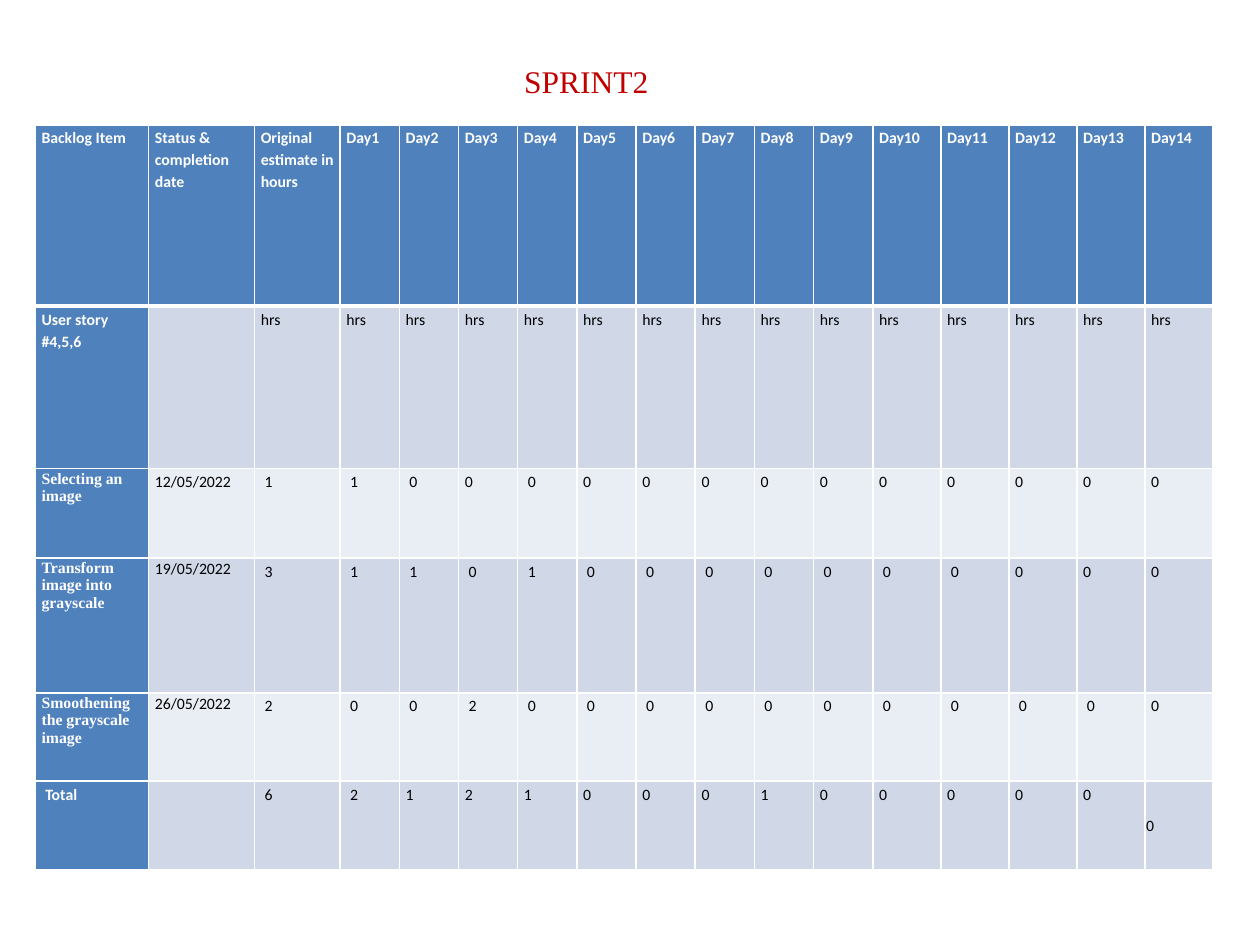
from dataclasses import dataclass

from lxml import etree
from pptx import Presentation
from pptx.dml.color import RGBColor
from pptx.enum import text
from pptx.oxml import ns
from pptx.util import Inches, Pt


@dataclass(frozen=True)
class Theme:
    header: str = "4F81BD"
    band_dark: str = "D0D8E8"
    band_light: str = "E9EDF4"
    white: str = "FFFFFF"
    ink: str = "000000"
    title: str = "C00000"
    sans: str = "Calibri"
    serif: str = "Times New Roman"
    title_size: int = 18
    cell_size: int = 9
    line: int = 1
    header_line: int = 3


@dataclass(frozen=True)
class BacklogRow:
    height: float
    item: str
    completed: str
    hours: list[str]  # estimate, then one value per day
    indented: tuple[int, ...] = ()  # columns set in slightly from the left
    serif_item: bool = False
    compact_date: bool = False


THEME = Theme()
DAYS = 14
COLUMN_WIDTHS = [0.9, 0.84, 0.68] + [0.47] * 9 + [0.54] * 5

BACKLOG = [
    BacklogRow(1.44, "Backlog Item", "Status & completion date",
               ["Original estimate in hours"] + [f"Day{day}" for day in range(1, DAYS + 1)]),
    BacklogRow(1.29, "User story #4,5,6", "", ["hrs"] * (DAYS + 1)),
    BacklogRow(0.71, "Selecting an image", "12/05/2022", list("110000000000000"),
               indented=(2, 3, 4, 6), serif_item=True),
    BacklogRow(1.07, "Transform image into grayscale", "19/05/2022", list("311010000000000"),
               indented=tuple(range(2, 14)), serif_item=True, compact_date=True),
    BacklogRow(0.7, "Smoothening the grayscale image", "26/05/2022", list("200200000000000"),
               indented=tuple(range(2, 16)), serif_item=True, compact_date=True),
    BacklogRow(0.7, "Total", "", list("621210001000000"), indented=(0, 2, 3)),
]


def set_borders(cell, top: int, bottom: int) -> None:
    """Draw white rules on all four sides, placed ahead of the cell fill."""
    properties = cell._tc.get_or_add_tcPr()
    widths = {"lnL": THEME.line, "lnR": THEME.line, "lnT": top, "lnB": bottom}
    for position, (side, width) in enumerate(widths.items()):
        line = etree.Element(ns.qn(f"a:{side}"), w=str(Pt(width)))
        fill = etree.SubElement(line, ns.qn("a:solidFill"))
        etree.SubElement(fill, ns.qn("a:srgbClr"), val=THEME.white)
        properties.insert(position, line)


def write_cell(cell, wording: str, fill: str, color: str, font: str = THEME.sans,
               bold: bool = False, compact: bool = False, indented: bool = False) -> None:
    cell.fill.solid()
    cell.fill.fore_color.rgb = RGBColor.from_string(fill)
    cell.margin_left = cell.margin_right = Inches(0.05)
    cell.margin_top, cell.margin_bottom = Inches(0.01), 0
    cell.text = wording
    paragraph = cell.text_frame.paragraphs[0]
    paragraph.font.name, paragraph.font.size = font, Pt(THEME.cell_size)
    paragraph.font.bold = bold
    paragraph.font.color.rgb = RGBColor.from_string(color)
    if not compact:
        paragraph.line_spacing = 1.15
        paragraph.space_after = Pt(10)
    if indented:
        paragraph._p.get_or_add_pPr().set("marL", str(Inches(0.03)))


def add_title(slide, wording: str) -> None:
    title = slide.shapes.title
    title.left, title.top = Inches(4.06), Inches(0.44)
    title.width, title.height = Inches(2.36), Inches(0.4)
    frame = title.text_frame
    frame.text = wording
    frame.vertical_anchor = text.MSO_ANCHOR.TOP
    frame.auto_size = text.MSO_AUTO_SIZE.NONE
    heading = frame.paragraphs[0]
    heading.alignment = text.PP_ALIGN.LEFT
    heading.font.name, heading.font.size = THEME.serif, Pt(THEME.title_size)
    heading.font.color.rgb = RGBColor.from_string(THEME.title)


def add_backlog(slide, rows: list[BacklogRow]) -> None:
    table = slide.shapes.add_table(
        len(rows), len(COLUMN_WIDTHS), Inches(0.28), Inches(0.99),
        Inches(sum(COLUMN_WIDTHS)), Inches(sum(row.height for row in rows))).table
    for column, width in zip(table.columns, COLUMN_WIDTHS):
        column.width = Inches(width)

    for r, row in enumerate(rows):
        table.rows[r].height = Inches(row.height)
        band = THEME.band_dark if r % 2 else THEME.band_light
        for c, wording in enumerate([row.item, row.completed, *row.hours]):
            heading = r == 0 or c == 0
            serif = c == 0 and row.serif_item
            cell = table.cell(r, c)
            write_cell(cell, wording,
                       fill=THEME.header if heading else band,
                       color=THEME.white if heading else THEME.ink,
                       font=THEME.serif if serif else THEME.sans,
                       bold=heading,
                       compact=serif or (c == 1 and row.compact_date),
                       indented=c in row.indented)
            set_borders(cell,
                        top=THEME.header_line if r == 1 else THEME.line,
                        bottom=THEME.header_line if r == 0 else THEME.line)

    # The last total sits mid-height, close to the cell edge
    last_total = table.cell(len(rows) - 1, len(COLUMN_WIDTHS) - 1)
    last_total.vertical_anchor = text.MSO_ANCHOR.MIDDLE
    last_total.margin_left = last_total.margin_right = Inches(0.01)
    last_total.margin_bottom = Inches(0.01)


def main() -> None:
    deck = Presentation()
    deck.slide_width, deck.slide_height = Inches(10), Inches(7.5)
    slide = deck.slides.add_slide(deck.slide_layouts[5])  # title only
    add_title(slide, "SPRINT2")
    add_backlog(slide, BACKLOG)
    deck.save("out.pptx")


if __name__ == "__main__":
    main()
